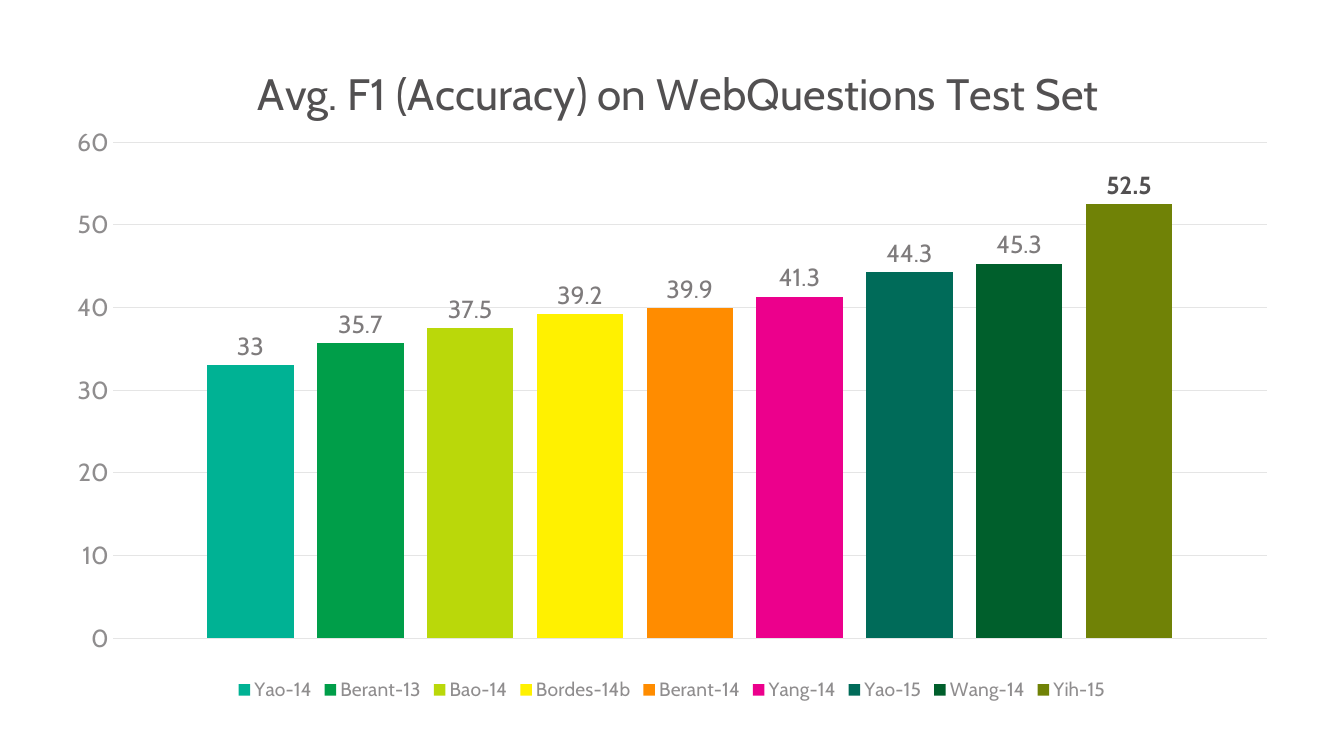
from lxml import etree
from pptx import Presentation
from pptx.chart.data import CategoryChartData
from pptx.dml.color import RGBColor
from pptx.enum import chart as ch
from pptx.oxml import ns
from pptx.util import Inches, Pt

TITLE = "Avg. F1 (Accuracy) on WebQuestions Test Set"
SYSTEMS = [
    ("Yao-14", 33, "00B294"),
    ("Berant-13", 35.7, "009E49"),
    ("Bao-14", 37.5, "BAD80A"),
    ("Bordes-14b", 39.2, "FFF100"),
    ("Berant-14", 39.9, "FF8C00"),
    ("Yang-14", 41.3, "EC008C"),
    ("Yao-15", 44.3, "006B59"),
    ("Wang-14", 45.3, "005F2C"),
    ("Yih-15", 52.5, "708206"),
]
BEST = "Yih-15"
COLORS = {"dark": "525051", "label": "7E7B7C", "axis": "8F8D8E", "grid": "E5E5E5"}
FONT = "Cabin"

# Left, top, width, height in inches on the slide
CHART_BOX = (0.53, 0.32, 12.54, 6.82)
PLOT_BOX = (1.14, 1.44, 11.68, 5.02)
TITLE_CORNER = (2.53, 0.56)


def style_font(font, size, color, bold=False):
    values = {"name": FONT, "size": Pt(size), "bold": bold}
    for name, value in values.items():
        setattr(font, name, value)
    font.color.rgb = RGBColor.from_string(COLORS[color])


def place(element, box, inner=False):
    """Fix a chart part at a slide position, given as fractions of the chart."""
    for old_layout in element.findall(ns.qn("c:layout")):
        element.remove(old_layout)
    layout = etree.Element(ns.qn("c:layout"))
    manual = etree.SubElement(layout, ns.qn("c:manualLayout"))
    left, top, width, height = CHART_BOX
    settings = [("layoutTarget", "inner")] if inner else []
    settings += [("xMode", "edge"), ("yMode", "edge")]
    starts = (left, top, 0, 0)
    extents = (width, height, width, height)
    for tag, value, start, extent in zip("xywh", box, starts, extents):
        settings.append((tag, str((value - start) / extent)))
    for tag, value in settings:
        etree.SubElement(manual, ns.qn(f"c:{tag}")).set("val", value)
    overlay = element.find(ns.qn("c:overlay"))
    if overlay is None:
        element.insert(0, layout)
    else:
        overlay.addprevious(layout)


def add_title(chart):
    chart.has_title = True
    frame = chart.chart_title.text_frame
    frame.text = TITLE
    style_font(frame.paragraphs[0].runs[0].font, 32, "dark")
    place(chart.chart_title._element, TITLE_CORNER)


def style_axes(chart):
    chart.category_axis.visible = False
    axis = chart.value_axis
    values = {
        "minimum_scale": 0,
        "maximum_scale": 60,
        "major_unit": 10,
        "major_tick_mark": ch.XL_TICK_MARK.NONE,
        "minor_tick_mark": ch.XL_TICK_MARK.NONE,
        "has_major_gridlines": True,
    }
    for name, value in values.items():
        setattr(axis, name, value)
    axis.format.line.fill.background()
    grid = axis.major_gridlines.format.line
    grid.width = Pt(0.75)
    grid.color.rgb = RGBColor.from_string(COLORS["grid"])
    style_font(axis.tick_labels.font, 18, "axis")


def style_bars(plot):
    plot.gap_width = 219
    plot.overlap = -27
    plot.vary_by_categories = False
    for series, (name, _, color) in zip(plot.series, SYSTEMS):
        series.format.fill.solid()
        series.format.fill.fore_color.rgb = RGBColor.from_string(color)
        labels = series.data_labels
        labels.show_value = True
        labels.position = ch.XL_LABEL_POSITION.OUTSIDE_END
        best = name == BEST
        style_font(labels.font, 18, "dark" if best else "label", best)


def add_legend(chart):
    chart.has_legend = True
    chart.legend.position = ch.XL_LEGEND_POSITION.BOTTOM
    chart.legend.include_in_layout = False
    style_font(chart.legend.font, 14, "axis")


def main():
    presentation = Presentation()
    presentation.slide_width = Inches(13.6)
    presentation.slide_height = Inches(7.65)
    slide = presentation.slides.add_slide(presentation.slide_layouts[6])

    data = CategoryChartData()
    data.categories = ["1"]
    for name, accuracy, _ in SYSTEMS:
        data.add_series(name, [accuracy])
    chart = slide.shapes.add_chart(
        ch.XL_CHART_TYPE.COLUMN_CLUSTERED, *map(Inches, CHART_BOX), data
    ).chart
    style_font(chart.font, 10, "dark")
    add_title(chart)
    style_axes(chart)
    style_bars(chart.plots[0])
    add_legend(chart)
    place(chart._chartSpace.chart.plotArea, PLOT_BOX, inner=True)
    presentation.save("out.pptx")


if __name__ == "__main__":
    main()
